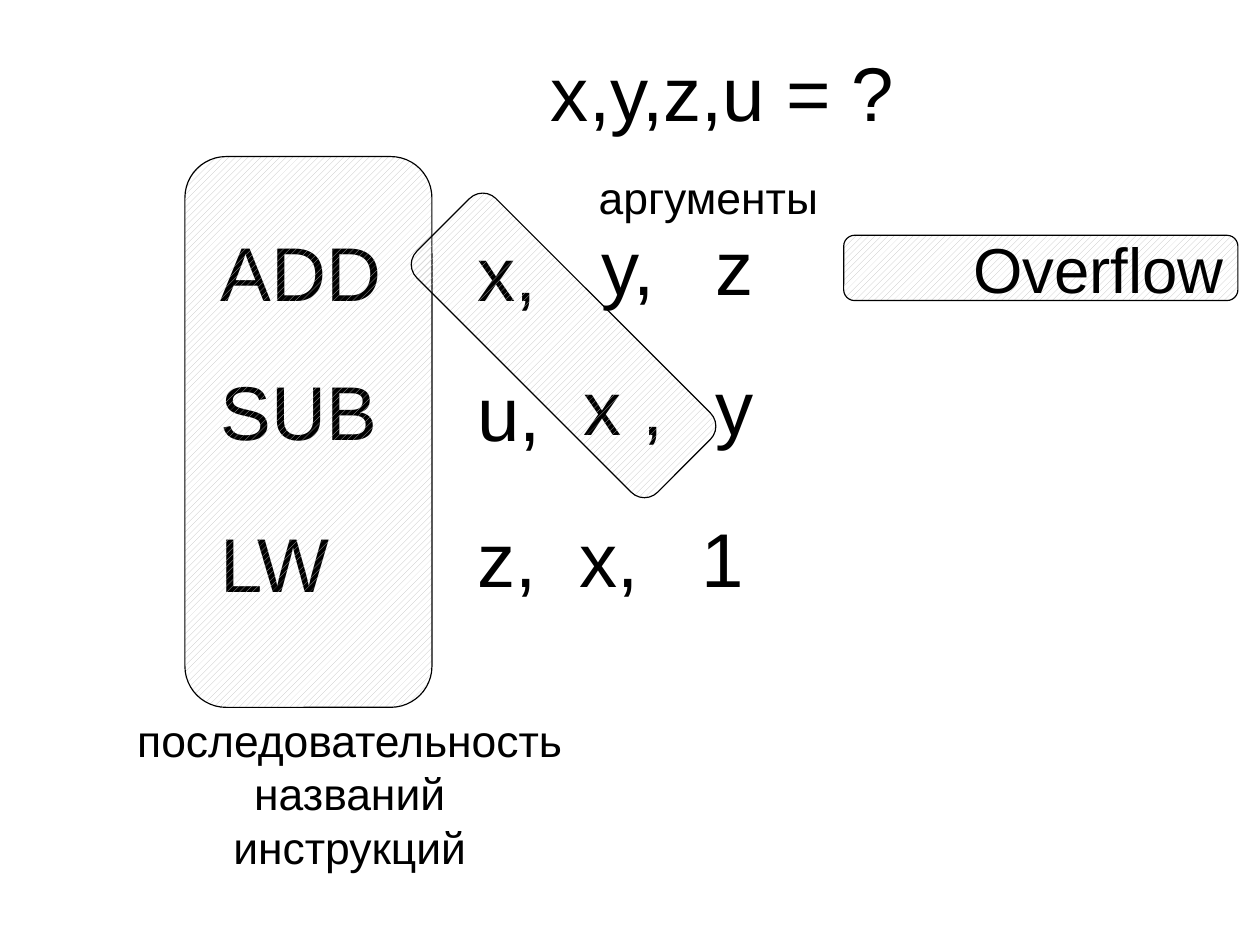
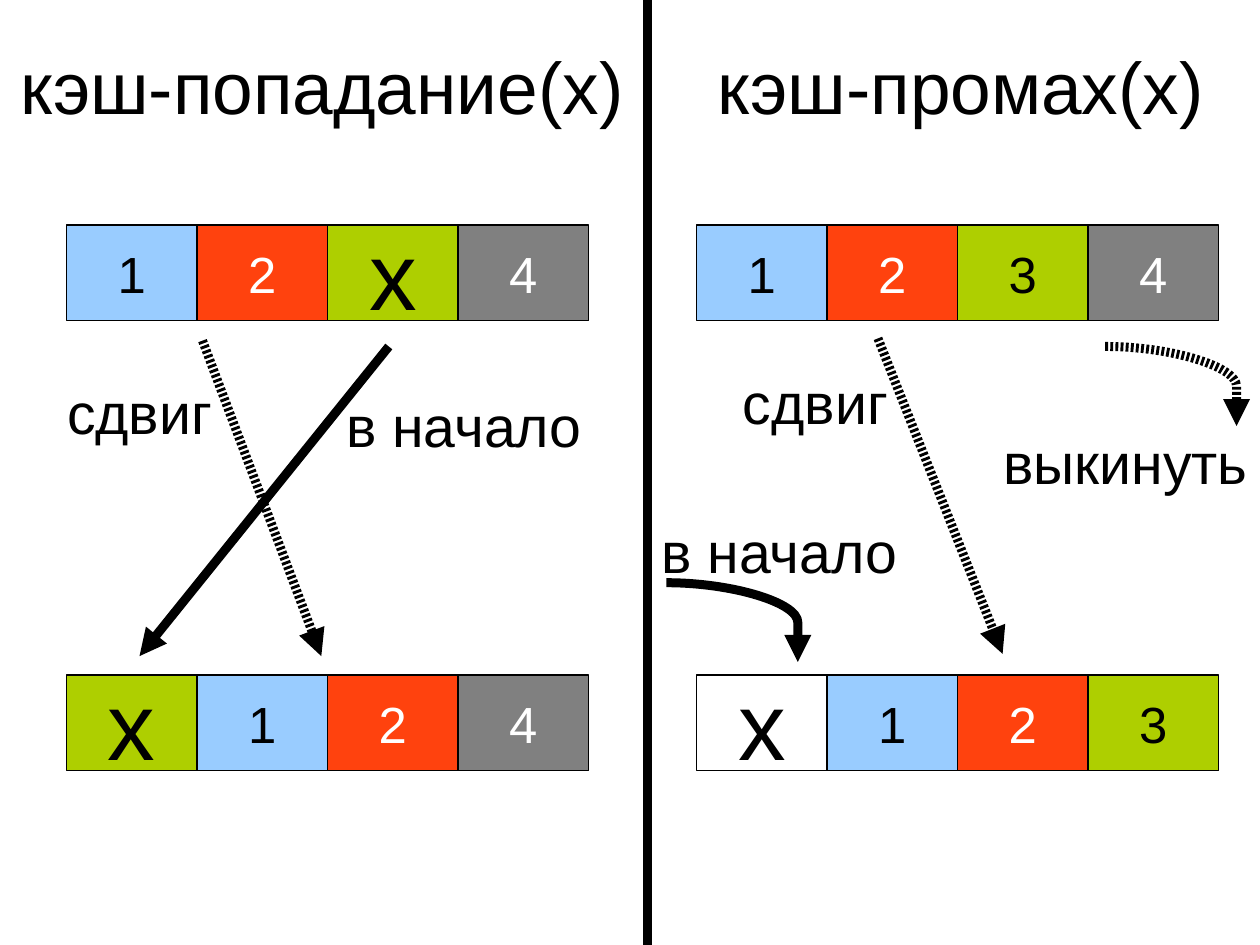
from dataclasses import dataclass

from lxml import etree
from pptx import Presentation
from pptx.dml.color import RGBColor
from pptx.enum.dml import MSO_PATTERN
from pptx.enum.shapes import MSO_CONNECTOR, MSO_SHAPE
from pptx.enum.text import MSO_ANCHOR, MSO_AUTO_SIZE, PP_ALIGN
from pptx.oxml.ns import qn
from pptx.util import Cm, Pt

LEFT, CENTER, RIGHT = PP_ALIGN.LEFT, PP_ALIGN.CENTER, PP_ALIGN.RIGHT
TOP, MIDDLE = MSO_ANCHOR.TOP, MSO_ANCHOR.MIDDLE
RECT, ROUNDED = MSO_SHAPE.RECTANGLE, MSO_SHAPE.ROUNDED_RECTANGLE
STRAIGHT, CURVE = MSO_CONNECTOR.STRAIGHT, MSO_CONNECTOR.CURVE
WIDE_UP = MSO_PATTERN.WIDE_UPWARD_DIAGONAL


@dataclass(frozen=True)
class Theme:
    font: str = "Arial"
    black: RGBColor = RGBColor(0, 0, 0)
    white: RGBColor = RGBColor(255, 255, 255)
    hatch: RGBColor = RGBColor(0xC0, 0xC0, 0xC0)
    blue: RGBColor = RGBColor(0x99, 0xCC, 0xFF)
    red: RGBColor = RGBColor(0xFF, 0x42, 0x0E)
    green: RGBColor = RGBColor(0xAE, 0xCF, 0x00)
    gray: RGBColor = RGBColor(0x80, 0x80, 0x80)
    code: Pt = Pt(48)
    heading: Pt = Pt(46)
    overflow: Pt = Pt(40)
    label: Pt = Pt(36)
    caption: Pt = Pt(28)
    cell: Pt = Pt(32)
    key: Pt = Pt(60)
    stroke: Pt = Pt(5.67)


T = Theme()


def write(sp, text, size, color=T.black, align=LEFT, anchor=TOP):
    tf = sp.text_frame
    tf.text = text
    tf.word_wrap = True
    tf.auto_size = MSO_AUTO_SIZE.NONE
    tf.vertical_anchor = anchor
    for p in tf.paragraphs:
        p.alignment = align
        for r in p.runs:
            r.font.name, r.font.size, r.font.color.rgb = T.font, size, color


def connect(s, kind, x1, y1, x2, y2, dashed=False, arrow=True):
    cn = s.shapes.add_connector(kind, Cm(x1), Cm(y1), Cm(x2), Cm(y2))
    cn.line.color.rgb = T.black
    cn.line.width = T.stroke
    ln = cn.line._get_or_add_ln()
    if dashed:
        dash = etree.SubElement(ln, qn("a:custDash"))
        etree.SubElement(dash, qn("a:ds"), d="32000", sp="25000")
    if arrow:
        etree.SubElement(ln, qn("a:tailEnd"), type="triangle")
    sp_pr = cn._element.spPr
    etree.SubElement(sp_pr, qn("a:effectLst"))
    if kind == CURVE:
        # Bend at the far end, so that the arrow comes in from above
        guides = sp_pr.find(qn("a:prstGeom")).get_or_add_avLst()
        etree.SubElement(guides, qn("a:gd"), name="adj1", fmla="val 100000")


prs = Presentation()
prs.slide_width, prs.slide_height = Cm(28), Cm(21)
title_only = prs.slide_layouts[5]

# Slide 1: instructions and their arguments
s = prs.slides.add_slide(title_only)
title = s.shapes.title
title.left, title.top, title.width, title.height = Cm(11.99), Cm(0.89), Cm(8.5), Cm(2.67)
write(title, "x,y,z,u = ?", T.code)

# Text under the hatched bands, then the bands, then the text over them
under = [
    ("ADD", 4.65, 4.88), ("SUB", 4.65, 7.98), ("LW", 4.65, 11.35),
    ("х,", 10.36, 4.88), ("x ,", 12.71, 7.87),
]
over = [
    ("y,", 13.11, 4.75), ("z", 15.65, 4.75),
    ("u,", 10.36, 8), ("y", 15.65, 7.87),
    ("z,", 10.36, 11.23), ("x,", 12.62, 11.23), ("1", 15.34, 11.23),
]
bands = [
    (4.11, 3.48, 5.49, 12.24, 0, ""),
    (11.28, 3.89, 2.49, 7.57, 315, ""),
    (18.75, 5.23, 8.76, 1.45, 0, "Overflow"),
]
for text, x, y in under:
    write(s.shapes.add_textbox(Cm(x), Cm(y), Cm(5), Cm(2.67)), text, T.code)

for x, y, w, h, angle, text in bands:
    sp = s.shapes.add_shape(ROUNDED, Cm(x), Cm(y), Cm(w), Cm(h))
    sp.shadow.inherit = False
    sp.rotation = angle
    sp.fill.patterned()
    sp.fill.pattern = WIDE_UP
    sp.fill.fore_color.rgb = T.hatch
    sp.fill.back_color.rgb = T.white
    back = sp._element.spPr.find(".//" + qn("a:bgClr"))
    etree.SubElement(back[0], qn("a:alpha"), val="0")
    sp.line.color.rgb = T.black
    sp.line.width = 0
    if text:
        write(sp, text, T.overflow, align=RIGHT, anchor=MIDDLE)

for text, x, y in over:
    write(s.shapes.add_textbox(Cm(x), Cm(y), Cm(3), Cm(2.67)), text, T.code)

captions = [
    ("последовательность\nназваний\nинструкций", 1.57, 15.72, 12.4, 4.39),
    ("аргументы", 12.4, 3.66, 6.68, 1.68),
]
for text, x, y, w, h in captions:
    sp = s.shapes.add_textbox(Cm(x), Cm(y), Cm(w), Cm(h))
    write(sp, text, T.caption, align=CENTER)

# Slide 2: cache hit and cache miss
s = prs.slides.add_slide(title_only)
title = s.shapes.title
title.left, title.top, title.width, title.height = Cm(0.2), Cm(0.79), Cm(14.1), Cm(2.06)
write(title, "кэш-попадание(x)", T.heading)
miss = s.shapes.add_textbox(Cm(15.7), Cm(0.79), Cm(12), Cm(2.06))
write(miss, "кэш-промах(x)", T.heading)
connect(s, STRAIGHT, 14.38, 0, 14.38, 21, arrow=False)

# Cache lines before and after the access
styles = {
    "1": (T.blue, T.black), "2": (T.red, T.white),
    "3": (T.green, T.black), "4": (T.gray, T.white),
}
CELL_W, CELL_H = 2.9, 2.13
rows = [
    (1.48, 5, "12x4", T.green), (1.48, 15, "x124", T.green),
    (15.48, 5, "1234", None), (15.48, 15, "x123", T.white),
]
for x, y, values, key_fill in rows:
    for i, value in enumerate(values):
        fill, color = styles.get(value, (key_fill, T.black))
        sp = s.shapes.add_shape(RECT, Cm(x + i * CELL_W), Cm(y), Cm(CELL_W), Cm(CELL_H))
        sp.shadow.inherit = False
        sp.fill.solid()
        sp.fill.fore_color.rgb = fill
        sp.line.color.rgb = T.black
        sp.line.width = 0
        size = T.key if value == "x" else T.cell
        write(sp, value, size, color, CENTER, MIDDLE)

# Moves: solid arrows go to the front, dashed ones shift or drop out
moves = [
    (STRAIGHT, 8.64, 7.7, 3.1, 14.58, False),
    (STRAIGHT, 4.5, 7.57, 7.14, 14.58, True),
    (STRAIGHT, 19.51, 7.52, 22.28, 14.53, True),
    (CURVE, 24.56, 7.7, 27.48, 9.47, True),
    (CURVE, 14.81, 12.95, 17.73, 14.71, False),
]
for move in moves:
    connect(s, *move)

labels = [
    ("сдвиг", 1.24, 8.26), ("в начало", 7.44, 8.56),
    ("сдвиг", 16.26, 8.03), ("выкинуть", 22.05, 9.37),
    ("в начало", 14.45, 11.35),
]
for text, x, y in labels:
    write(s.shapes.add_textbox(Cm(x), Cm(y), Cm(5.95), Cm(1.68)), text, T.label)

prs.save("out.pptx")
